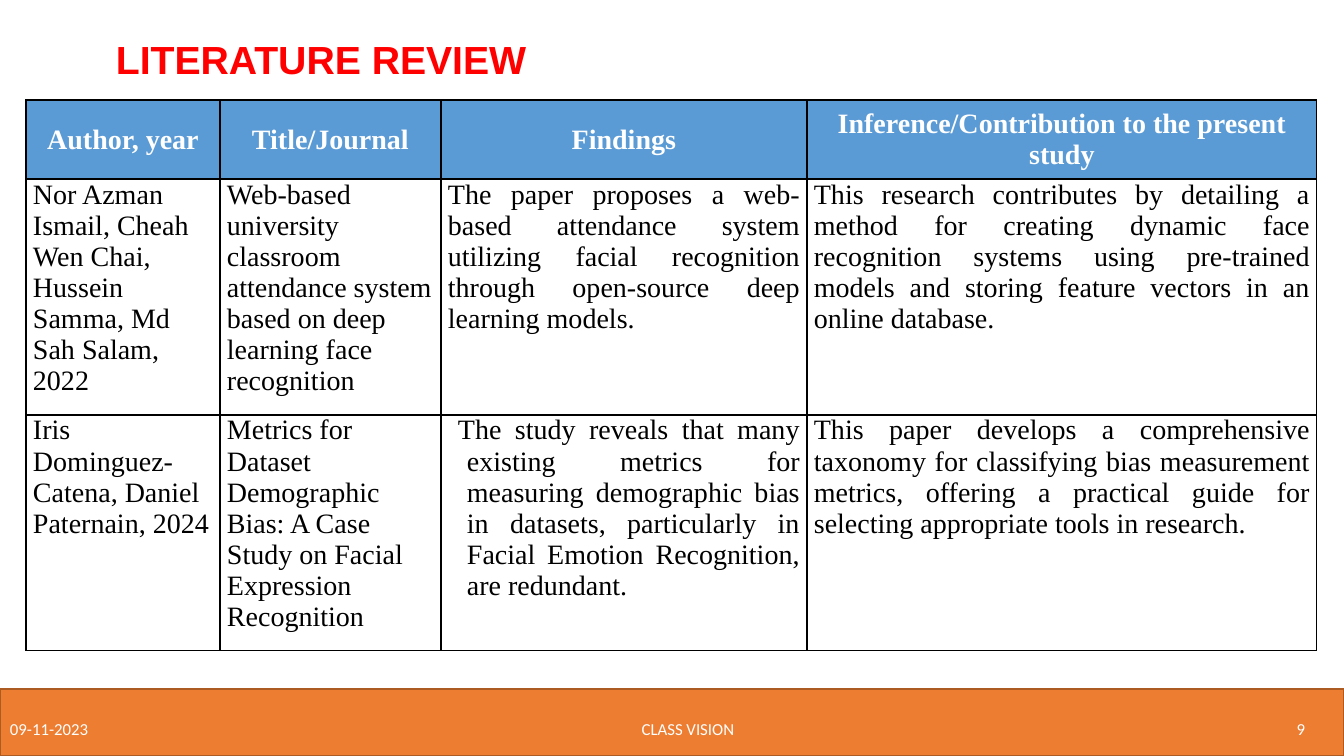
from lxml.etree import SubElement
from pptx import Presentation
from pptx.dml.color import RGBColor
from pptx.enum.shapes import MSO_SHAPE
from pptx.enum.text import MSO_ANCHOR, PP_ALIGN
from pptx.oxml.ns import qn
from pptx.util import Emu, Pt

WIDTH, HEIGHT = 1344, 756
COLUMN_WIDTHS = [194, 221, 366, 510]
ROW_HEIGHTS = [79, 236, 235]
BODY_ALIGNMENTS = [PP_ALIGN.LEFT, PP_ALIGN.LEFT, PP_ALIGN.JUSTIFY, PP_ALIGN.JUSTIFY]
REVIEW_ROWS = [
    ["Author, year", "Title/Journal", "Findings",
     "Inference/Contribution to the present study"],
    ["Nor Azman Ismail, Cheah Wen Chai, Hussein Samma, Md Sah Salam, 2022",
     "Web-based university classroom attendance system based on deep learning "
     "face recognition",
     "The paper proposes a web-based attendance system utilizing facial recognition "
     "through open-source deep learning models.",
     "This research contributes by detailing a method for creating dynamic face "
     "recognition systems using pre-trained models and storing feature vectors in an "
     "online database."],
    ["Iris Dominguez-Catena, Daniel Paternain, 2024",
     "Metrics for Dataset Demographic Bias: A Case Study on Facial Expression Recognition",
     "The study reveals that many existing metrics for measuring demographic bias in "
     "datasets, particularly in Facial Emotion Recognition, are redundant.",
     "This paper develops a comprehensive taxonomy for classifying bias measurement "
     "metrics, offering a practical guide for selecting appropriate tools in research."],
]


def px(length):
    return Emu(round(length * 914400 / 100.8))


def color(value):
    return RGBColor.from_string(value)


class ReviewSlide:
    """Holds the slide and its colours and fonts."""

    white, black, red = "FFFFFF", "000000", "FF0000"
    orange, dark_orange, blue = "ED7D31", "AC5B23", "5B9BD5"
    title_font, table_font, footer_font = "Arial", "Times New Roman", "Calibri"

    def __init__(self, presentation):
        self.slide = presentation.slides.add_slide(presentation.slide_layouts[6])

    def set_text(self, paragraph, text, font, size, hue, bold=False, align=PP_ALIGN.LEFT):
        paragraph.text = text
        paragraph.alignment = align
        paragraph.font.name = font
        paragraph.font.size = Pt(size)
        paragraph.font.bold = bold
        paragraph.font.color.rgb = color(hue)

    def add_band(self, left, top, width, height):
        shape = self.slide.shapes.add_shape(
            MSO_SHAPE.RECTANGLE, px(left), px(top), px(width), px(height))
        shape.shadow.inherit = False
        shape.fill.solid()
        shape.fill.fore_color.rgb = color(self.orange)
        shape.line.color.rgb = color(self.dark_orange)
        shape.line.width = Pt(1)

    def add_text(self, box, text, font, size, hue, anchor=MSO_ANCHOR.MIDDLE, **style):
        frame = self.slide.shapes.add_textbox(*map(px, box)).text_frame
        frame.word_wrap = True
        frame.vertical_anchor = anchor
        self.set_text(frame.paragraphs[0], text, font, size, hue, **style)

    def add_table(self, left, top, rows):
        table = self.slide.shapes.add_table(
            len(rows), len(COLUMN_WIDTHS), px(left), px(top),
            px(sum(COLUMN_WIDTHS)), px(sum(ROW_HEIGHTS))).table
        for column, width in zip(table.columns, COLUMN_WIDTHS):
            column.width = px(width)
        for row, height in zip(table.rows, ROW_HEIGHTS):
            row.height = px(height)
        for row_index, texts in enumerate(rows):
            for column_index, text in enumerate(texts):
                cell = table.cell(row_index, column_index)
                if row_index == 0:
                    self.fill_header(cell, text)
                else:
                    self.fill_body(cell, text, BODY_ALIGNMENTS[column_index])
                self.add_borders(cell)
        return table

    def fill_header(self, cell, text):
        cell.fill.solid()
        cell.fill.fore_color.rgb = color(self.blue)
        cell.vertical_anchor = MSO_ANCHOR.MIDDLE
        self.set_text(cell.text_frame.paragraphs[0], text, self.table_font, 20,
                      self.white, bold=True, align=PP_ALIGN.CENTER)

    def fill_body(self, cell, text, align):
        cell.fill.background()
        cell.margin_left = cell.margin_right = px(7)
        cell.margin_top = cell.margin_bottom = 0
        self.set_text(cell.text_frame.paragraphs[0], text, self.table_font, 20,
                      self.black, align=align)

    def add_borders(self, cell):
        """Puts the side lines ahead of the fill, as the schema orders them."""
        properties = cell._tc.get_or_add_tcPr()
        for position, side in enumerate(["a:lnL", "a:lnR", "a:lnT", "a:lnB"]):
            line = SubElement(properties, qn(side), w=str(Pt(1)))
            fill = SubElement(line, qn("a:solidFill"))
            SubElement(fill, qn("a:srgbClr"), val=self.black)
            properties.insert(position, line)

    def indent(self, cell, left, first_line):
        properties = cell.text_frame.paragraphs[0]._p.get_or_add_pPr()
        properties.set("marL", str(px(left)))
        properties.set("indent", str(px(first_line)))


def main():
    presentation = Presentation()
    presentation.slide_width, presentation.slide_height = px(WIDTH), px(HEIGHT)
    review = ReviewSlide(presentation)
    review.add_band(0, 689, WIDTH, 67)
    review.add_text((106, 30, 852, 57), "LITERATURE REVIEW", review.title_font, 28,
                    review.red, anchor=MSO_ANCHOR.TOP, bold=True)
    table = review.add_table(26, 100, REVIEW_ROWS)
    review.indent(table.cell(2, 2), 19, -9)
    footers = [
        (0, 118, "09-11-2023", PP_ALIGN.LEFT),
        (118, 1140, "CLASS VISION", PP_ALIGN.CENTER),
        (1258, 86, "9", PP_ALIGN.CENTER),
    ]
    for left, width, text, align in footers:
        review.add_text((left, 709, width, 40), text, review.footer_font, 12,
                        review.white, align=align)
    presentation.save("out.pptx")


if __name__ == "__main__":
    main()
